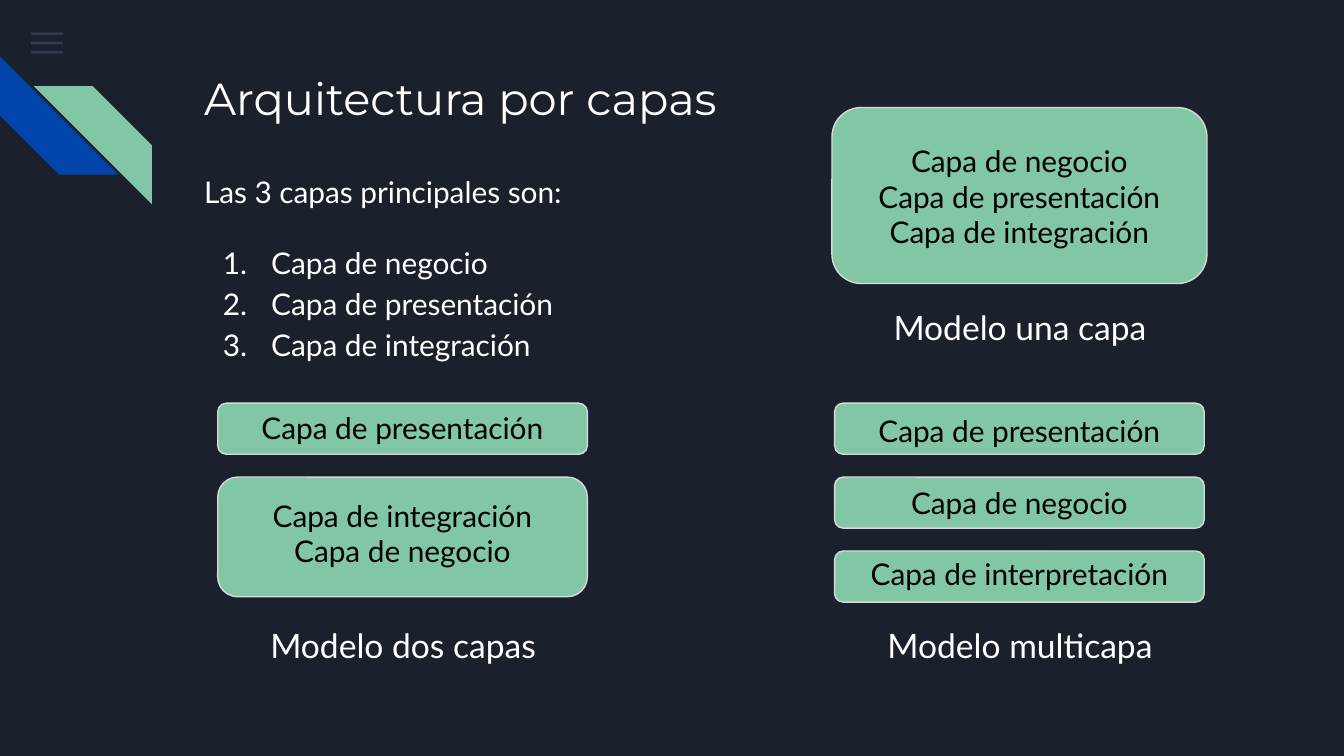
from dataclasses import dataclass

from lxml import etree
from pptx import Presentation
from pptx.dml.color import RGBColor
from pptx.enum.shapes import MSO_SHAPE
from pptx.enum.text import MSO_ANCHOR, PP_ALIGN
from pptx.oxml.ns import qn
from pptx.util import Inches, Pt

RECTANGLE = MSO_SHAPE.RECTANGLE
ROUNDED = MSO_SHAPE.ROUNDED_RECTANGLE
STRIPE = MSO_SHAPE.DIAGONAL_STRIPE
TOP = MSO_ANCHOR.TOP
LEFT, CENTER = PP_ALIGN.LEFT, PP_ALIGN.CENTER


@dataclass(frozen=True)
class Theme:
    background: str = "1B212C"
    menu: str = "55688B"
    blue: str = "0145AC"
    green: str = "82C7A5"
    outline: str = "D9D9D9"
    white: str = "FFFFFF"
    black: str = "000000"
    title_font: str = "Montserrat"
    body_font: str = "Lato"
    title_size: int = 24
    caption_size: int = 18
    body_size: int = 16


theme = Theme()


def add_filled_shape(kind, left, top, width, height, color):
    shape = slide.shapes.add_shape(
        kind, Inches(left), Inches(top), Inches(width), Inches(height))
    shape.shadow.inherit = False
    shape.fill.solid()
    shape.fill.fore_color.rgb = RGBColor.from_string(color)
    shape.line.fill.background()
    return shape


def add_text(left, top, width, height, lines, size, color,
             font=theme.body_font, align=CENTER):
    box = slide.shapes.add_textbox(
        Inches(left), Inches(top), Inches(width), Inches(height))
    frame = box.text_frame
    margin = Inches(0.1)
    frame_format = {
        "word_wrap": True, "vertical_anchor": TOP,
        "margin_left": margin, "margin_right": margin,
        "margin_top": margin, "margin_bottom": margin,
    }
    for name, value in frame_format.items():
        setattr(frame, name, value)
    frame.text = "\n".join(lines)
    for paragraph in frame.paragraphs:
        paragraph.alignment = align
        run_font = paragraph.runs[0].font
        for name, value in {"name": font, "size": Pt(size)}.items():
            setattr(run_font, name, value)
        run_font.color.rgb = RGBColor.from_string(color)
    return frame.paragraphs


# Widescreen 16:9 slide
presentation = Presentation()
presentation.slide_width = Inches(10)
presentation.slide_height = Inches(10) * 9 // 16
slide = presentation.slides.add_slide(presentation.slide_layouts[6])
slide.background.fill.solid()
slide.background.fill.fore_color.rgb = RGBColor.from_string(theme.background)

# Menu icon: three translucent bars
for row in range(3):
    bar = add_filled_shape(RECTANGLE, 0.23, 0.24 + 0.07 * row, 0.24, 0.02, theme.menu)
    bar_color = bar._element.spPr.find(qn("a:solidFill"))[0]
    etree.SubElement(bar_color, qn("a:alpha"), val="36000")

# Corner stripes
blue_stripe = add_filled_shape(STRIPE, 0, 0.42, 0.88, 0.88, theme.blue)
blue_stripe.rotation = 270
green_stripe = add_filled_shape(STRIPE, 0.25, 0.64, 0.88, 0.88, theme.green)
green_stripe._element.spPr.find(qn("a:xfrm")).set("flipH", "1")

# Title
add_text(1.42, 0.43, 7.7, 1, ["Arquitectura por capas"],
         theme.title_size, theme.white, font=theme.title_font, align=LEFT)

# Introduction and numbered list
paragraphs = add_text(
    1.42, 1.15, 7.7, 3.18,
    ["Las 3 capas principales son:", "Capa de negocio",
     "Capa de presentación", "Capa de integración"],
    theme.body_size, theme.white, align=LEFT)
for paragraph in paragraphs[1:]:
    properties = paragraph._p.get_or_add_pPr()
    properties.set("marL", str(Inches(0.5)))
    properties.set("indent", str(Inches(-0.36)))
    bullet_color = etree.SubElement(properties, qn("a:buClr"))
    etree.SubElement(bullet_color, qn("a:srgbClr"), val=theme.white)
    etree.SubElement(properties, qn("a:buFont"), typeface=theme.body_font)
    etree.SubElement(properties, qn("a:buAutoNum"), type="arabicPeriod")
for paragraph in paragraphs:
    paragraph.line_spacing = 1.15
paragraphs[1].space_before = Pt(16)

# Layer boxes: one layer, two layers, then the multilayer stack
layer_boxes = [
    (6.19, 0.8, 2.79, 1.31),
    (1.62, 3, 2.75, 0.38),
    (1.62, 3.55, 2.75, 0.89),
]
layer_boxes += [(6.21, 3 + 0.55 * row, 2.75, 0.38) for row in range(3)]
for bounds in layer_boxes:
    box = add_filled_shape(ROUNDED, *bounds, theme.green)
    box.line.color.rgb = RGBColor.from_string(theme.outline)
    box.line.width = Pt(0.75)

# Model captions
captions = [
    (6.26, 2.18, "Modelo una capa"),
    (6.26, 4.55, "Modelo multicapa"),
    (1.67, 4.55, "Modelo dos capas"),
]
for left, top, caption in captions:
    add_text(left, top, 2.66, 0.38, [caption], theme.caption_size, theme.white)

# Layer names, with the space before each line in points
layer_names = [
    ((6.36, 0.96, 2.45, 1),
     {"Capa de negocio": 0, "Capa de presentación": 0, "Capa de integración": 0}),
    ((1.81, 2.95, 2.37, 1.58),
     {"Capa de presentación": 0, "Capa de integración": 27.6, "Capa de negocio": 0}),
    ((6.36, 2.97, 2.45, 1.54),
     {"Capa de presentación": 0, "Capa de negocio": 19.2, "Capa de interpretación": 19.2}),
]
for bounds, gaps in layer_names:
    paragraphs = add_text(*bounds, gaps, theme.body_size, theme.black)
    for paragraph, gap in zip(paragraphs, gaps.values()):
        if gap:
            paragraph.space_before = Pt(gap)

presentation.save("out.pptx")
